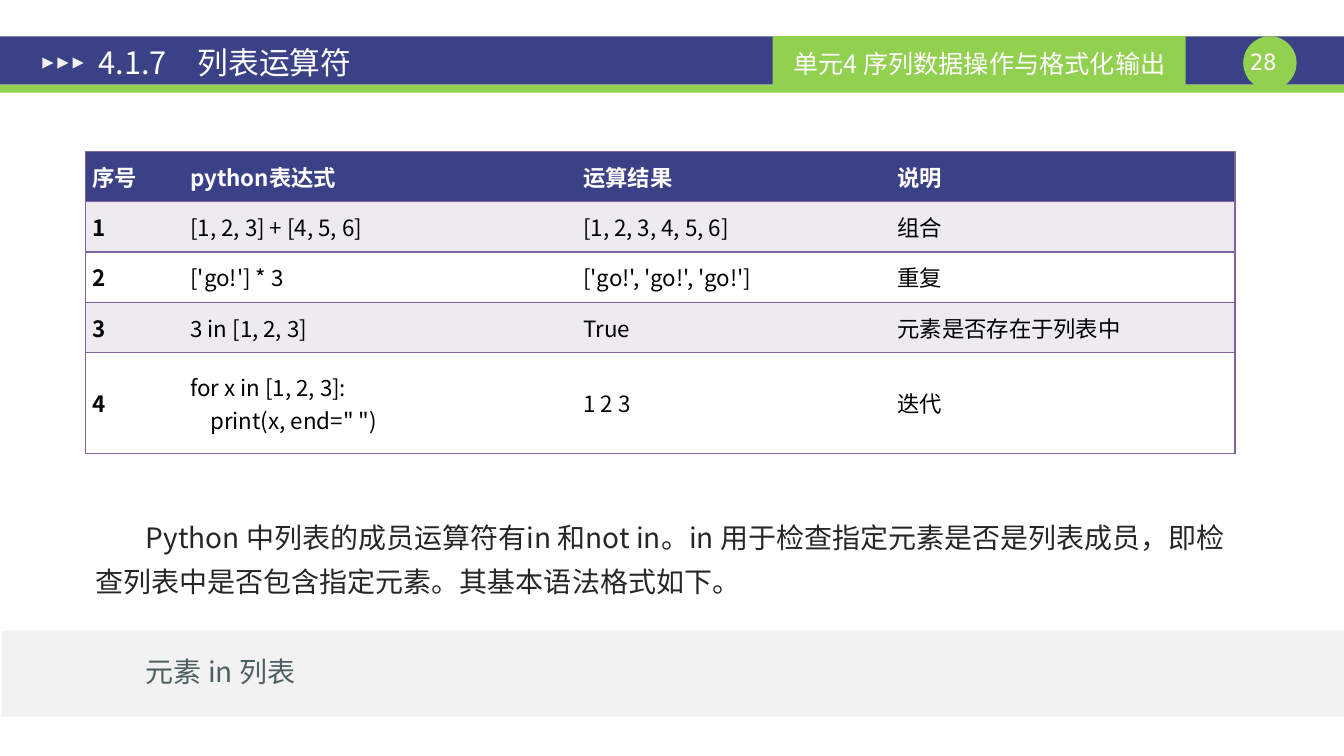
from dataclasses import dataclass

from lxml import etree
from pptx import Presentation
from pptx import util as u
from pptx.dml.color import RGBColor
from pptx.enum import shapes, text
from pptx.oxml import ns
from pptx.util import Inches


@dataclass(frozen=True)
class Theme:
    """Colours, fonts and type sizes of the slide."""
    navy: str = "3A4187"
    green: str = "92D050"
    white: str = "FFFFFF"
    black: str = "000000"
    pale: str = "F2F2F2"
    band: str = "EDEAF0"
    border: str = "8064A2"
    ink: str = "262626"
    syntax: str = "4C6062"
    font: str = "Noto Sans CJK SC"
    number_font: str = "DejaVu Sans Mono"
    title: int = 22
    body: int = 20
    unit: int = 18
    small: int = 16
    leading: int = 32


T = Theme()
HEADER = ("序号", "python表达式", "运算结果", "说明")
ROWS = (
    ("1", "[1, 2, 3] + [4, 5, 6]", "[1, 2, 3, 4, 5, 6]", "组合"),
    ("2", "['go!'] * 3", "['go!', 'go!', 'go!']", "重复"),
    ("3", "3 in [1, 2, 3]", "True", "元素是否存在于列表中"),
    ("4", 'for x in [1, 2, 3]: \n    print(x, end=" ")', "1 2 3", "迭代"),
)
COLUMN_WIDTHS = (0.97, 3.9, 3.12, 3.42)
ROW_HEIGHTS = (0.5, 0.5, 0.5, 0.5, 1)
MEMBERSHIP = ("Python 中列表的成员运算符有in 和not in。in 用于检查指定元素是否是列表成员，"
              "即检查列表中是否包含指定元素。其基本语法格式如下。")


def style(p, size, color, align=text.PP_ALIGN.LEFT, bold=False, font=T.font):
    """Format a paragraph and its runs."""
    p.alignment = align
    for r in p.runs:
        r.font.size = u.Pt(size)
        r.font.bold = bold
        r.font.color.rgb = RGBColor.from_string(color)
        r.font.name = font
        ea = etree.SubElement(r.font._element, ns.qn("a:ea"))
        ea.set("typeface", font)


def set_margins(tf, x, y):
    """Set equal side insets and equal top and bottom insets."""
    tf.margin_left = tf.margin_right = Inches(x)
    tf.margin_top = tf.margin_bottom = Inches(y)


def add_block(s, kind, box, color):
    """Add a flat preset shape."""
    sp = s.shapes.add_shape(kind, *map(Inches, box))
    sp.shadow.inherit = False
    sp.fill.solid()
    sp.fill.fore_color.rgb = RGBColor.from_string(color)
    sp.line.fill.background()
    return sp


def add_textbox(s, box):
    """Add a wrapping text box and return its text frame."""
    tf = s.shapes.add_textbox(*map(Inches, box)).text_frame
    tf.word_wrap = True
    return tf


def add_header(s):
    """Draw the title band with its unit label, page number and arrows."""
    kind = shapes.MSO_SHAPE
    add_block(s, kind.RECTANGLE, (0, 0.36, 13.34, 0.48), T.navy)
    add_block(s, kind.RECTANGLE, (0, 0.84, 13.34, 0.08), T.green)
    add_block(s, kind.OVAL, (12.34, 0.36, 0.53, 0.53), T.green)

    tf = add_textbox(s, (12.34, 0.48, 0.53, 0.27))
    set_margins(tf, 0, 0)
    tf.text = "28 "
    style(tf.paragraphs[0], T.small, T.white, text.PP_ALIGN.CENTER,
          font=T.number_font)

    tf = add_block(s, kind.RECTANGLE, (7.67, 0.36, 4.1, 0.54), T.green).text_frame
    tf.vertical_anchor = text.MSO_ANCHOR.MIDDLE
    tf.text = "单元4 序列数据操作与格式化输出"
    style(tf.paragraphs[0], T.unit, T.white, text.PP_ALIGN.CENTER)

    for i in range(3):
        box = (0.42 + 0.15 * i, 0.57, 0.11, 0.11)
        add_block(s, kind.ISOSCELES_TRIANGLE, box, T.pale).rotation = 90


def set_title(s, title):
    """Place the title placeholder on top of the band."""
    sp = s.shapes.title
    sp.left, sp.top, sp.width, sp.height = map(Inches, (0.85, 0.4, 7.2, 0.44))
    sp.element.getparent().append(sp.element)
    tf = sp.text_frame
    set_margins(tf, 0.13, 0.07)
    tf.vertical_anchor = text.MSO_ANCHOR.MIDDLE
    tf.text = title
    style(tf.paragraphs[0], T.title, T.white)


def set_borders(cell, visible):
    """Rule the visible sides of a cell and clear the others."""
    tcPr = cell._tc.get_or_add_tcPr()
    for side in "LRTB":
        ln = etree.SubElement(tcPr, ns.qn(f"a:ln{side}"), w=str(u.Pt(1)))
        if side in visible:
            fill = etree.SubElement(ln, ns.qn("a:solidFill"))
            etree.SubElement(fill, ns.qn("a:srgbClr"), val=T.border)
        else:
            etree.SubElement(ln, ns.qn("a:noFill"))


def fill_cell(cell, value, fill, color, bold, visible):
    """Write and format one table cell."""
    set_borders(cell, visible)
    cell.fill.solid()
    cell.fill.fore_color.rgb = RGBColor.from_string(fill)
    set_margins(cell, 0.07, 0)
    cell.vertical_anchor = text.MSO_ANCHOR.MIDDLE
    cell.text = value
    for p in cell.text_frame.paragraphs:
        style(p, T.small, color, text.PP_ALIGN.JUSTIFY, bold)


def add_operator_table(s):
    """Add the table of list operators."""
    box = (0.85, 1.5, sum(COLUMN_WIDTHS), sum(ROW_HEIGHTS))
    table = s.shapes.add_table(len(ROW_HEIGHTS), len(COLUMN_WIDTHS),
                               *map(Inches, box)).table
    table.horz_banding = False
    for column, width in zip(table.columns, COLUMN_WIDTHS):
        column.width = Inches(width)
    for row, height in zip(table.rows, ROW_HEIGHTS):
        row.height = Inches(height)
    last = len(COLUMN_WIDTHS) - 1
    for i, values in enumerate((HEADER, *ROWS)):
        fill = T.navy if i == 0 else (T.white, T.band)[i % 2]
        color = T.white if i == 0 else T.black
        for j, value in enumerate(values):
            visible = "TB" + "L" * (j == 0) + "R" * (j == last)
            fill_cell(table.cell(i, j), value, fill, color,
                      i == 0 or j == 0, visible)


def add_membership(s):
    """Add the membership explanation and its syntax line."""
    add_block(s, shapes.MSO_SHAPE.RECTANGLE, (0.02, 6.26, 13.32, 0.85), T.pale)
    tf = add_textbox(s, (0.85, 5, 11.44, 1.88))
    tf.text = f"{MEMBERSHIP}\n元素 in 列表"
    for p, color in zip(tf.paragraphs, (T.ink, T.syntax)):
        p.line_spacing = u.Pt(T.leading)
        p._p.get_or_add_pPr().set("indent", str(Inches(0.5)))
        style(p, T.body, color)
    tf.paragraphs[1].space_before = u.Pt(T.leading)


def main():
    """Build the slide and save it."""
    prs = Presentation()
    prs.slide_width, prs.slide_height = Inches(13.34), Inches(7.5)
    s = prs.slides.add_slide(prs.slide_layouts[5])
    add_header(s)
    set_title(s, "4.1.7　列表运算符")
    add_operator_table(s)
    add_membership(s)
    prs.save("out.pptx")


if __name__ == "__main__":
    main()
